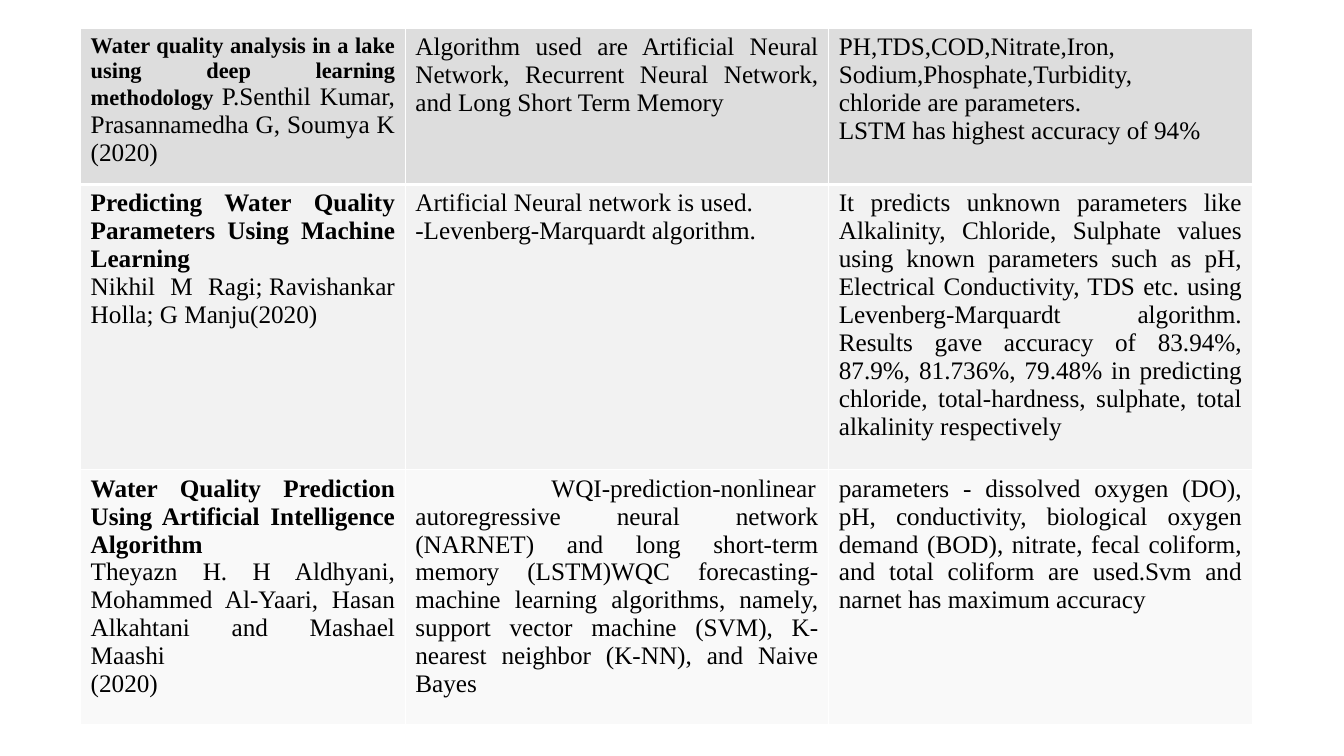
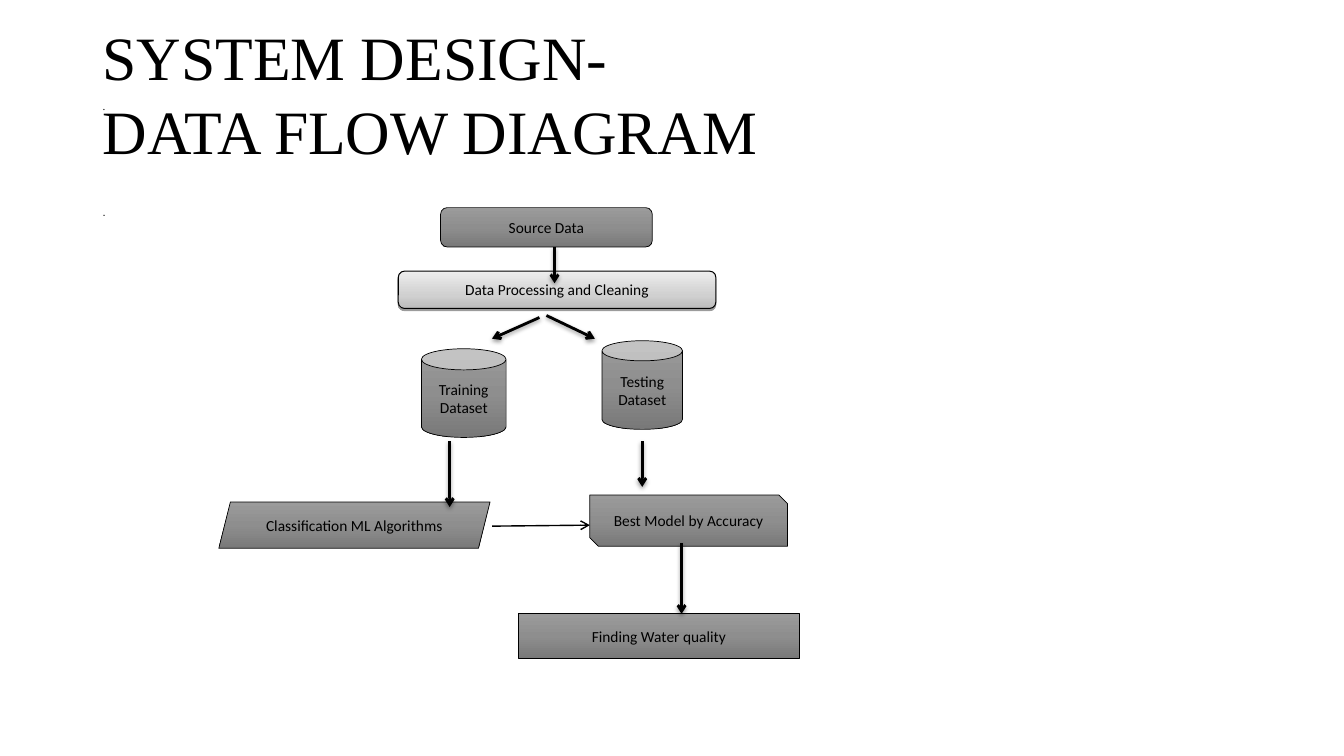
from dataclasses import dataclass

from lxml.etree import SubElement
from pptx import Presentation
from pptx.dml.color import RGBColor
from pptx.enum.shapes import MSO_CONNECTOR, MSO_SHAPE
from pptx.enum.text import MSO_ANCHOR, PP_ALIGN
from pptx.oxml import parse_xml
from pptx.oxml.ns import nsdecls, qn
from pptx.util import Inches, Pt


@dataclass(frozen=True)
class Theme:
    ink: str = "000000"
    rule: str = "FFFFFF"
    rows: tuple = ("DDDDDD", "F2F2F2", "F9F9F9")
    dark: tuple = ((0, "9B9B9B"), (50, "8E8E8E"), (100, "797979"))
    light: tuple = ((0, "EDEDED"), (65, "D0D0D0"), (100, "BCBCBC"))
    serif: str = "Times New Roman"
    sans: str = "Arial"
    label: str = "Calibri"
    title_size: int = 44
    body_size: int = 18
    small_size: int = 16
    label_size: int = 11
    dot_size: int = 8


THEME = Theme()


def write(frame, paragraphs, font=THEME.serif, size=THEME.body_size, align=PP_ALIGN.LEFT,
          anchor=MSO_ANCHOR.TOP, spacing=None, before=None, indent=0):
    frame.word_wrap = True
    frame.vertical_anchor = anchor
    for index, runs in enumerate(paragraphs):
        paragraph = frame.paragraphs[0] if index == 0 else frame.add_paragraph()
        paragraph.alignment = align
        if spacing:
            paragraph.line_spacing = spacing
        if before:
            paragraph.space_before = Pt(before)
        if indent:
            properties = paragraph._p.get_or_add_pPr()
            properties.set("marL", "0")
            properties.set("indent", str(Inches(indent)))
        for content in [runs] if isinstance(runs, str) else runs:
            words, style = (content, {}) if isinstance(content, str) else content
            run = paragraph.add_run()
            run.text = words
            run.font.name = font
            run.font.size = Pt(style.get("size", size))
            run.font.bold = style.get("bold", False)
            run.font.color.rgb = RGBColor.from_string(THEME.ink)


def bold(words, size=THEME.body_size):
    return words, {"bold": True, "size": size}


class Deck:
    def __init__(self, theme):
        self.theme = theme
        self.presentation = Presentation()
        self.presentation.slide_width = Inches(13.33)
        self.presentation.slide_height = Inches(7.5)
        self.slide = None

    def new_slide(self):
        self.slide = self.presentation.slides.add_slide(self.presentation.slide_layouts[6])

    def text(self, box, paragraphs, **style):
        area = self.slide.shapes.add_textbox(*map(Inches, box))
        write(area.text_frame, paragraphs, **style)

    def border(self, cell, side, width):
        line = SubElement(cell._tc.get_or_add_tcPr(), qn(f"a:{side}"), w=str(Pt(width)))
        SubElement(SubElement(line, qn("a:solidFill")), qn("a:srgbClr"), val=self.theme.rule)

    def table(self, box, widths, heights, rows):
        grid = self.slide.shapes.add_table(len(rows), len(widths), *map(Inches, box)).table
        grid.first_row = grid.horz_banding = False
        for column, width in zip(grid.columns, widths):
            column.width = Inches(width)
        for row, height in zip(grid.rows, heights):
            row.height = Inches(height)
        for r, row in enumerate(rows):
            for c, (paragraphs, style) in enumerate(row):
                cell = grid.cell(r, c)
                for side in ("lnL", "lnR", "lnT", "lnB"):
                    heading_edge = (r, side) in ((0, "lnB"), (1, "lnT"))
                    self.border(cell, side, 3 if heading_edge else 1)
                cell.fill.solid()
                cell.fill.fore_color.rgb = RGBColor.from_string(self.theme.rows[r])
                write(cell.text_frame, paragraphs, align=PP_ALIGN.JUSTIFY, **style)

    def shadow(self, effects, blur):
        outer = SubElement(effects, qn("a:outerShdw"), blurRad=str(Pt(blur)),
                           dist=str(Pt(1.6)), dir="5400000", rotWithShape="0")
        tint = SubElement(outer, qn("a:srgbClr"), val=self.theme.ink)
        SubElement(tint, qn("a:alpha"), val="38000")

    def step(self, kind, box, label, stops=THEME.dark, line=0.5, shadow=False):
        node = self.slide.shapes.add_shape(kind, *map(Inches, box))
        node.shadow.inherit = False
        node.line.color.rgb = RGBColor.from_string(self.theme.ink)
        node.line.width = Pt(line)
        properties = node.element.spPr
        colours = "".join(f'<a:gs pos="{place * 1000}"><a:srgbClr val="{colour}"/></a:gs>'
                          for place, colour in stops)
        properties.find(qn("a:prstGeom")).addnext(parse_xml(
            f'<a:gradFill {nsdecls("a")} rotWithShape="1"><a:gsLst>{colours}</a:gsLst>'
            '<a:lin ang="5400000" scaled="0"/></a:gradFill>'))
        if shadow:
            self.shadow(properties.find(qn("a:effectLst")), 0)
        write(node.text_frame, [label], font=self.theme.label, size=self.theme.label_size,
              align=PP_ALIGN.CENTER, anchor=MSO_ANCHOR.MIDDLE)

    def arrow(self, start, end, width=2, shadow=True):
        flow = self.slide.shapes.add_connector(MSO_CONNECTOR.STRAIGHT, *map(Inches, start + end))
        flow.line.color.rgb = RGBColor.from_string(self.theme.ink)
        flow.line.width = Pt(width)
        SubElement(flow.line._get_or_add_ln(), qn("a:tailEnd"), type="arrow")
        effects = SubElement(flow._element.spPr, qn("a:effectLst"))
        if shadow:
            self.shadow(effects, 3.1)


def literature_slide(deck):
    deck.new_slide()
    lake = [
        ([[bold("Water quality analysis in a lake using deep learning methodology ",
                THEME.small_size), "P.Senthil Kumar, Prasannamedha G, Soumya K "], "(2020)"], {}),
        (["Algorithm used are Artificial Neural Network, Recurrent Neural Network, "
          "and Long Short Term Memory"], {}),
        (["PH,TDS,COD,Nitrate,Iron,", "Sodium,Phosphate,Turbidity,",
          "chloride are parameters.", "LSTM has highest accuracy of 94%"], {}),
    ]
    parameters = [
        ([[bold("Predicting Water Quality Parameters Using Machine Learning")],
          "Nikhil M Ragi;\u00a0Ravishankar Holla;\u00a0G Manju(2020)"], {}),
        (["Artificial Neural network is used.", "-Levenberg-Marquardt algorithm."], {}),
        (["It predicts unknown parameters like Alkalinity, Chloride, Sulphate values using "
          "known parameters such as pH, Electrical Conductivity, TDS etc. using "
          "Levenberg-Marquardt algorithm. Results gave accuracy of 83.94%, 87.9%, 81.736%, "
          "79.48% in predicting chloride, total-hardness, sulphate, total alkalinity "
          "respectively"], {}),
    ]
    prediction = [
        ([[bold("Water Quality Prediction Using Artificial Intelligence Algorithm")],
          "Theyazn H. H Aldhyani, Mohammed Al-Yaari, Hasan Alkahtani and Mashael Maashi ",
          "(2020)"], {}),
        (["WQI-prediction-nonlinear autoregressive neural network (NARNET) and long "
          "short-term memory (LSTM)WQC forecasting- machine learning algorithms, namely, "
          "support vector machine (SVM), K-nearest neighbor (K-NN), and Naive Bayes"],
         {"indent": 1.35}),
        (["parameters - dissolved oxygen (DO), pH, conductivity, biological oxygen demand "
          "(BOD), nitrate, fecal coliform, and total coliform are used.Svm and narnet has "
          "maximum accuracy"], {}),
    ]
    deck.table((0.8, 0.28, 11.61, 6.91), (3.22, 4.2, 4.2), (1.55, 2.83, 2.53),
               (lake, parameters, prediction))


def data_flow_slide(deck):
    deck.new_slide()
    deck.text((0.92, 0.34, 11.5, 1.45), ["."], size=THEME.dot_size,
              anchor=MSO_ANCHOR.MIDDLE, spacing=0.9)
    deck.text((0.92, 2, 11.5, 4.76), ["."], font=THEME.sans, size=THEME.dot_size,
              spacing=0.9, before=10)
    deck.step(MSO_SHAPE.ROUNDED_RECTANGLE, (4.37, 2.06, 2.1, 0.39), "Source Data")
    deck.step(MSO_SHAPE.ROUNDED_RECTANGLE, (3.95, 2.69, 3.15, 0.37),
              "Data Processing and Cleaning", stops=THEME.light, line=0.75, shadow=True)
    for kind, box, label in (
        (MSO_SHAPE.CAN, (5.97, 3.38, 0.8, 0.88), "Testing Dataset"),
        (MSO_SHAPE.SNIP_2_DIAG_RECTANGLE, (5.85, 4.91, 1.96, 0.51), "Best Model by Accuracy"),
        (MSO_SHAPE.RECTANGLE, (5.14, 6.09, 2.79, 0.44), "Finding Water quality"),
        (MSO_SHAPE.PARALLELOGRAM, (2.17, 4.98, 2.69, 0.46), "Classification ML Algorithms"),
        (MSO_SHAPE.CAN, (4.18, 3.46, 0.84, 0.88), "Training Dataset"),
    ):
        deck.step(kind, box, label)
    deck.arrow((4.88, 5.22), (5.85, 5.21), width=1, shadow=False)
    for start, end in (
        ((6.76, 5.39), (6.76, 6.09)),
        ((4.46, 4.38), (4.46, 5.03)),
        ((6.37, 4.38), (6.37, 4.83)),
        ((5.35, 3.15), (4.88, 3.36)),
        ((5.42, 3.13), (5.9, 3.36)),
        ((5.5, 2.45), (5.5, 2.81)),
    ):
        deck.arrow(start, end)
    deck.text((0.92, 0.14, 9.66, 1.58), ["SYSTEM DESIGN-", "DATA FLOW DIAGRAM"],
              size=THEME.title_size)


deck = Deck(THEME)
literature_slide(deck)
data_flow_slide(deck)
deck.presentation.save("out.pptx")
